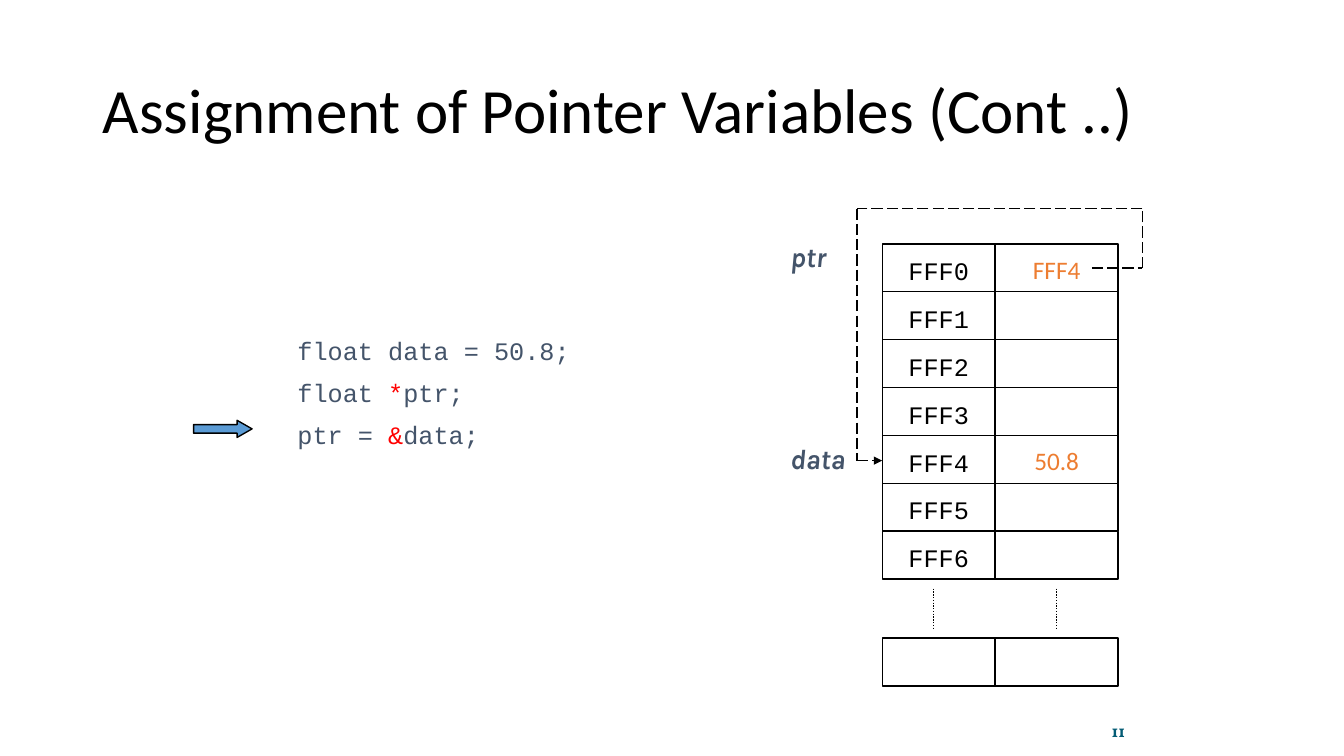
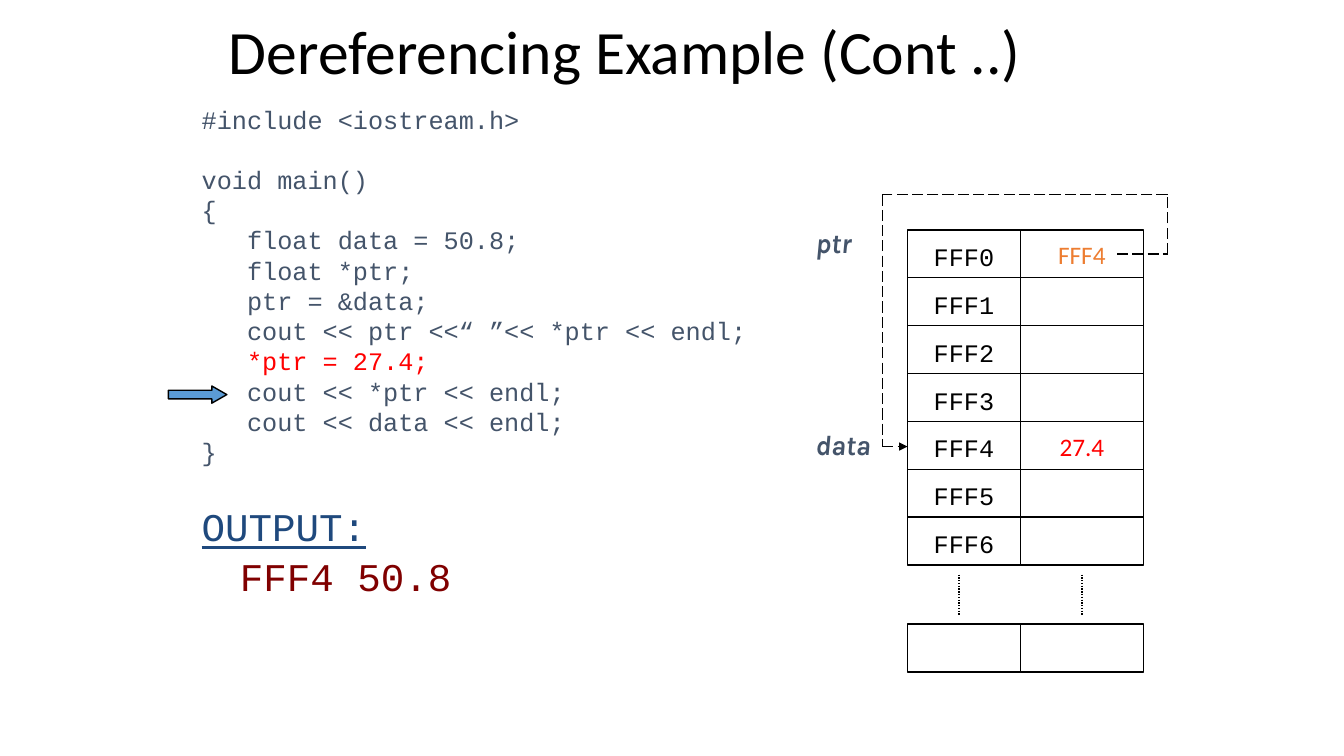
"""Build two slides on pointer variables, each with code and a memory map."""
from lxml import etree
from pptx import Presentation
from pptx.dml.color import RGBColor
from pptx.enum.dml import MSO_LINE
from pptx.enum.shapes import MSO_CONNECTOR, MSO_SHAPE
from pptx.enum.text import MSO_ANCHOR, MSO_AUTO_SIZE, PP_ALIGN
from pptx.oxml.ns import qn
from pptx.util import Inches, Pt

BLACK = RGBColor(0x00, 0x00, 0x00)
SLATE = RGBColor(0x44, 0x54, 0x6A)
RED = RGBColor(0xFF, 0x00, 0x00)
ORANGE = RGBColor(0xED, 0x7D, 0x31)
BLUE = RGBColor(0x5B, 0x9B, 0xD5)
NAVY = RGBColor(0x1F, 0x49, 0x7D)
MAROON = RGBColor(0x80, 0x00, 0x00)
TEAL = RGBColor(0x04, 0x5C, 0x75)
SANS, MONO, LABEL, SERIF = "Calibri", "Courier New", "Karla", "Vollkorn"
DASH, DOT = MSO_LINE.LONG_DASH, MSO_LINE.ROUND_DOT
LEFT, CENTER, RIGHT = PP_ALIGN.LEFT, PP_ALIGN.CENTER, PP_ALIGN.RIGHT
MIDDLE, BOTTOM, TOP = MSO_ANCHOR.MIDDLE, MSO_ANCHOR.BOTTOM, MSO_ANCHOR.TOP
LINE, ARROW = MSO_CONNECTOR.STRAIGHT, MSO_SHAPE.RIGHT_ARROW
RECT = MSO_SHAPE.RECTANGLE
FIXED = MSO_AUTO_SIZE.NONE

WIDTHS = (1.12, 1.22)
ROW = 0.475
CELLS = 7
INSETS = {MONO: 0.1, SANS: 0.07}
NAMES = (("ptr", 0), ("data", 4))
LOOP = ((2.08, 0.24), (2.58, 0.24), (2.58, -0.35), (-0.25, -0.35),
        (-0.25, 2.15), (0, 2.15))

SLIDES = [
    {
        "title": "Assignment of Pointer Variables (Cont ..)",
        "head": (0.92, 0.4, 11.5, 1.45), "size": 45,
        "code": [("float data = 50.8;",), ("float ", "*", "ptr;"),
                 ("ptr = ", "&", "data;")],
        "body": (2.95, 3.16, 3.8, 1.5), "pitch": 30,
        "arrow": (1.92, 4.17), "map": (8.75, 2.42),
        "values": {0: ("FFF4", ORANGE), 4: ("50.8", ORANGE)},
        "number": "11",
    },
    {
        "title": "Dereferencing Example (Cont ..)",
        "head": (2.17, 0, 9, 1.09), "size": 44,
        "code": [("#include <iostream.h>",), ("void main()",), ("{",),
                 ("   float data = 50.8;",), ("   float *ptr;",),
                 ("   ptr = &data;",),
                 ("   cout << ptr <<“ ”<< *ptr << endl;",),
                 ("   ", "*ptr = 27.4;"), ("   cout << *ptr << endl;",),
                 ("   cout << data << endl;",), ("}",)],
        "body": (2, 0.98, 6.08, 5.08), "pitch": 21.6, "gaps": {1: 21.6},
        "output": ("OUTPUT:", "FFF4 50.8"),
        "arrow": (1.67, 3.83), "map": (9, 2.28),
        "values": {0: ("FFF4", ORANGE), 4: ("27.4", RED)},
    },
]


def style(para, face, size, hue, align=LEFT):
    para.alignment = align
    font = para.font
    font.name, font.size, font.color.rgb = face, Pt(size), hue
    return font


def place(shape, box):
    shape.left, shape.top, shape.width, shape.height = map(Inches, box)


def frame(shape, anchor, side=0, edge=0.05):
    text = shape.text_frame
    text.word_wrap, text.auto_size = True, FIXED
    text.vertical_anchor = anchor
    text.margin_left = text.margin_right = Inches(side)
    text.margin_top = text.margin_bottom = Inches(edge)
    return text


def label(slide, words, box, anchor=TOP, edge=0.05):
    text = frame(slide.shapes.add_textbox(*map(Inches, box)), anchor, 0, edge)
    text.text = words
    return text.paragraphs[0]


def outlined(slide, kind, box):
    shape = slide.shapes.add_shape(kind, *map(Inches, box))
    shape.shadow.inherit = False
    shape.fill.background()
    shape.line.color.rgb, shape.line.width = BLACK, Pt(1)
    return shape


def line(slide, start, end, dash, head=False):
    link = slide.shapes.add_connector(LINE, *map(Inches, start + end))
    link.line.color.rgb, link.line.width = BLACK, Pt(1)
    link.line.dash_style = dash
    props = link.line._get_or_add_ln()
    if head:
        etree.SubElement(props, qn("a:tailEnd"), type="triangle")
    etree.SubElement(props.getparent(), qn("a:effectLst"))


def cells(slide, left, top, row):
    for words, face, hue, width in row:
        shape = outlined(slide, RECT, (left, top, width, ROW))
        left += width
        if words:
            text = frame(shape, MIDDLE)
            text.word_wrap = False
            text.margin_top = Inches(INSETS[face])
            text.text = words
            style(text.paragraphs[0], face, 18, hue, CENTER)


def memory(slide, left, top, values):
    wide, blank = WIDTHS, ("", BLACK)
    for i in range(CELLS):
        words, hue = values.get(i, blank)
        cells(slide, left, top + i * ROW,
              ((f"FFF{i}", MONO, BLACK, wide[0]), (words, SANS, hue, wide[1])))
    cells(slide, left, top + 3.91, [("", SANS, BLACK, w) for w in wide])
    for name, row in NAMES:
        box = (left - 0.91, top - 0.09 + row * 0.5, 0.75, 0.43)
        font = style(label(slide, name, box), LABEL, 20, SLATE)
        font.bold = font.italic = True
    spots = [(left + x, top + y) for x, y in LOOP]
    for start, end in zip(spots, spots[1:]):
        line(slide, start, end, DASH, end == spots[-1])
    for x in (left + 0.51, left + 1.73):
        line(slide, (x, top + 3.42), (x, top + 3.83), DOT)


def add_para(text, first, indent=0):
    para = text.paragraphs[0] if first else text.add_paragraph()
    props = para._p.get_or_add_pPr()
    props.set("marL", str(Inches(indent)))
    props.set("indent", "0")
    etree.SubElement(props, qn("a:buNone"))
    return para


def body(slide, data):
    shape = slide.placeholders[1]
    place(shape, data["body"])
    text = frame(shape, TOP)
    for i, parts in enumerate(data["code"]):
        para = add_para(text, i == 0)
        para.line_spacing = Pt(data["pitch"])
        para.space_before = Pt(data.get("gaps", {}).get(i, 0))
        style(para, MONO, 18, SLATE)
        for j, part in enumerate(parts):
            run = para.add_run()
            run.text = part
            if j % 2:
                run.font.color.rgb = RED
    for i, words in enumerate(data.get("output", ())):
        para = add_para(text, False, 0.38 * i)
        para.line_spacing = Pt(35.5)
        para.space_before = Pt(0 if i else 23.5)
        para.text = words
        font = style(para, MONO, 28, MAROON if i else NAVY)
        font.underline = i == 0


def build(deck, data):
    slide = deck.slides.add_slide(deck.slide_layouts[1])
    title = slide.shapes.title
    place(title, data["head"])
    text = frame(title, MIDDLE, 0.1)
    text.text = data["title"]
    para = text.paragraphs[0]
    para.line_spacing = 0.9
    style(para, SANS, data["size"], BLACK)
    body(slide, data)
    memory(slide, *data["map"], data["values"])
    arrow = outlined(slide, ARROW, data["arrow"] + (0.58, 0.17))
    arrow.adjustments[1] = 0.875
    arrow.fill.solid()
    arrow.fill.fore_color.rgb = BLUE
    if "number" in data:
        box = (10.33, 6.95, 0.83, 0.4)
        para = label(slide, data["number"], box, BOTTOM, 0)
        style(para, SERIF, 12, TEAL, RIGHT).bold = True


def main():
    deck = Presentation()
    deck.slide_width, deck.slide_height = Inches(13.33), Inches(7.5)
    for data in SLIDES:
        build(deck, data)
    deck.save("out.pptx")


if __name__ == "__main__":
    main()
